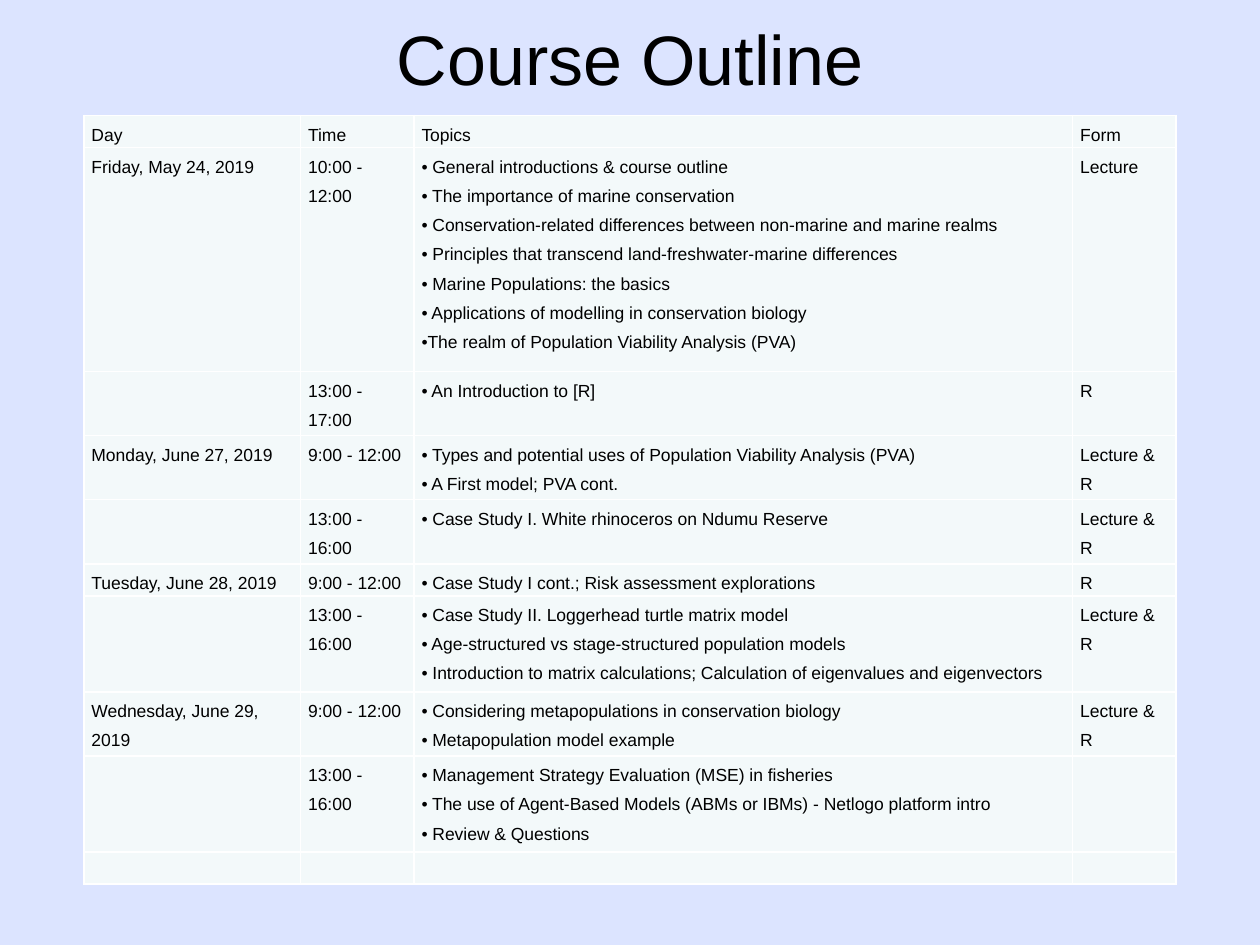
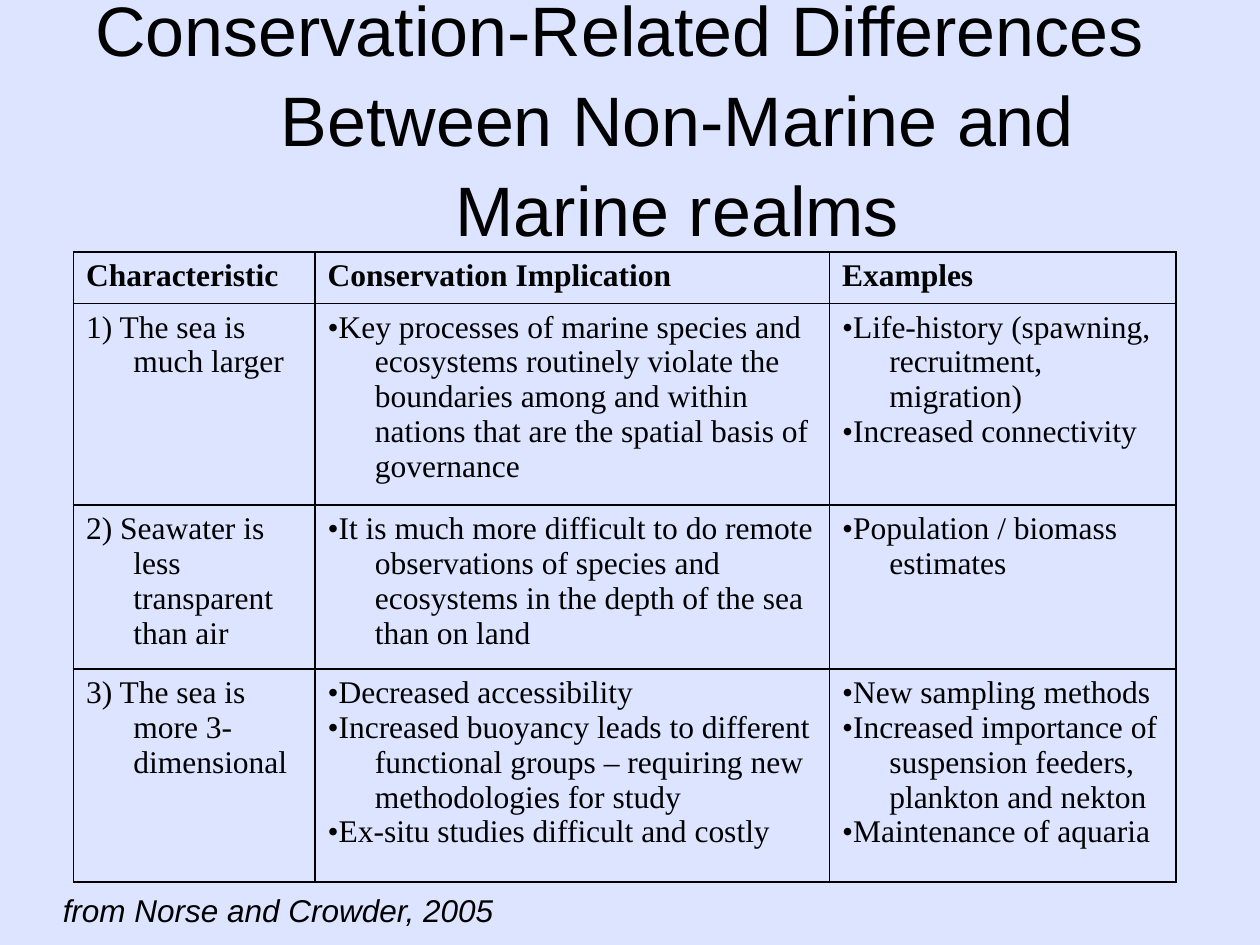
from lxml import etree
from pptx import Presentation
from pptx.dml.color import RGBColor
from pptx.enum.text import MSO_ANCHOR, MSO_AUTO_SIZE, PP_ALIGN
from pptx.oxml.ns import qn
from pptx.util import Pt

CENTER = PP_ALIGN.CENTER
MIDDLE = MSO_ANCHOR.MIDDLE
NO_AUTOFIT = MSO_AUTO_SIZE.NONE
FIT_SHAPE = MSO_AUTO_SIZE.SHAPE_TO_FIT_TEXT

PALE_BLUE = RGBColor(0xDC, 0xE4, 0xFF)
PALE_MINT = RGBColor(0xF3, 0xF9, 0xFA)
WHITE = RGBColor(0xFF, 0xFF, 0xFF)
BLACK = RGBColor(0x00, 0x00, 0x00)
SANS = "Arial"
SERIF = "Times New Roman"
TITLE_ONLY = 5

# Course outline: row heights follow from the number of lines
OUTLINE_LINE = 18.3
OUTLINE_LINES = [1, 7, 2, 2, 2, 1, 3, 2, 3, 1]
OUTLINE_COLUMNS = [123.8, 64.8, 376.4, 59]
OUTLINE = [
    ["Day", "Time", "Topics", "Form"],
    ["Friday, May 24, 2019", "10:00 - 12:00",
     "• General introductions & course outline\n"
     "• The importance of marine conservation\n"
     "• Conservation-related differences between non-marine and marine realms\n"
     "• Principles that transcend land-freshwater-marine differences\n"
     "• Marine Populations: the basics\n"
     "• Applications of modelling in conservation biology\n"
     "•The realm of Population Viability Analysis (PVA)", "Lecture"],
    ["", "13:00 - 17:00", "• An Introduction to [R]", "R"],
    ["Monday, June 27, 2019", "9:00 - 12:00",
     "• Types and potential uses of Population Viability Analysis (PVA)\n"
     "• A First model; PVA cont.", "Lecture & R"],
    ["", "13:00 - 16:00",
     "• Case Study I. White rhinoceros on Ndumu Reserve", "Lecture & R"],
    ["Tuesday, June 28, 2019", "9:00 - 12:00",
     "• Case Study I cont.; Risk assessment explorations", "R"],
    ["", "13:00 - 16:00",
     "• Case Study II. Loggerhead turtle matrix model\n"
     "• Age-structured vs stage-structured population models\n"
     "• Introduction to matrix calculations; "
     "Calculation of eigenvalues and eigenvectors", "Lecture & R"],
    ["Wednesday, June 29, 2019", "9:00 - 12:00",
     "• Considering metapopulations in conservation biology\n"
     "• Metapopulation model example", "Lecture & R"],
    ["", "13:00 - 16:00",
     "• Management Strategy Evaluation (MSE) in fisheries\n"
     "• The use of Agent-Based Models (ABMs or IBMs) - Netlogo platform intro\n"
     "• Review & Questions", ""],
    ["", "", "", ""],
]

# Differences between the realms
REALM_COLUMNS = [138, 294, 198]
REALM_ROWS = [29.5, 115.2, 93.6, 121.7]
REALMS = [
    ["Characteristic", "Conservation Implication", "Examples"],
    ["1) The sea is much larger",
     "•Key processes of marine species and ecosystems routinely violate the "
     "boundaries among and within nations that are the spatial basis of governance",
     "•Life-history (spawning, recruitment, migration)\n•Increased connectivity"],
    ["2) Seawater is less transparent than air",
     "•It is much more difficult to do remote observations of species and "
     "ecosystems in the depth of the sea than on land",
     "•Population / biomass estimates"],
    ["3) The sea is more 3-dimensional",
     "•Decreased accessibility\n"
     "•Increased buoyancy leads to different functional groups – requiring new "
     "methodologies for study\n"
     "•Ex-situ studies difficult and costly",
     "•New sampling methods\n"
     "•Increased importance of suspension feeders, plankton and nekton\n"
     "•Maintenance of aquaria"],
]


class Deck:
    """Holds the shared style and the slide being filled."""

    def __init__(self):
        self.prs = Presentation()
        self.prs.slide_width, self.prs.slide_height = Pt(720), Pt(540)
        background = self.prs.slide_master.background.fill
        background.solid()
        background.fore_color.rgb = PALE_BLUE
        self.slide = None

    def add_slide(self):
        layout = self.prs.slide_layouts[TITLE_ONLY]
        self.slide = self.prs.slides.add_slide(layout)

    def style(self, paragraph, font, size, bold=False, italic=False, hanging=0):
        if hanging:
            properties = paragraph._p.get_or_add_pPr()
            properties.set("marL", str(Pt(hanging)))
            properties.set("indent", str(-Pt(hanging)))
        for run in paragraph.runs:
            run.font.name, run.font.size = font, Pt(size)
            run.font.bold, run.font.italic = bold, italic
            run.font.color.rgb = BLACK
        if not paragraph.runs:  # keeps empty cells as low as their row
            paragraph._p.get_or_add_endParaRPr().set("sz", str(size * 100))

    def title(self, text, left, top, width, height, hanging=0):
        title = self.slide.shapes.title
        title.left, title.top = Pt(left), Pt(top)
        title.width, title.height = Pt(width), Pt(height)
        frame = title.text_frame
        frame.text = text
        frame.auto_size, frame.vertical_anchor = NO_AUTOFIT, MIDDLE
        heading = frame.paragraphs[0]
        heading.alignment, heading.line_spacing = CENTER, 1.07
        self.style(heading, SANS, 40, hanging=hanging)

    def borders(self, cell, color):
        properties = cell._tc.get_or_add_tcPr()
        for side in ("lnL", "lnR", "lnT", "lnB"):
            line = etree.SubElement(properties, qn(f"a:{side}"), w=str(Pt(1)))
            solid = etree.SubElement(line, qn("a:solidFill"))
            etree.SubElement(solid, qn("a:srgbClr"), val=str(color))

    def table(self, rows, left, top, widths, heights, font, size, border,
              fill=None, insets=(7.2, 3.6), spacing=None, hanging=0,
              bold_header=False):
        table = self.slide.shapes.add_table(
            len(rows), len(widths), Pt(left), Pt(top),
            Pt(sum(widths)), Pt(sum(heights))).table
        table.first_row = table.horz_banding = False
        for column, width in zip(table.columns, widths):
            column.width = Pt(width)
        for row, height in zip(table.rows, heights):
            row.height = Pt(height)
        for r, texts in enumerate(rows):
            for c, text in enumerate(texts):
                cell = table.cell(r, c)
                self.borders(cell, border)
                if fill is None:
                    cell.fill.background()
                else:
                    cell.fill.solid()
                    cell.fill.fore_color.rgb = fill
                cell.margin_left = cell.margin_right = Pt(insets[0])
                cell.margin_top = cell.margin_bottom = Pt(insets[1])
                cell.text_frame.text = text
                for paragraph in cell.text_frame.paragraphs:
                    paragraph.line_spacing = spacing
                    self.style(paragraph, font, size, hanging=hanging,
                               bold=bold_header and r == 0)

    def citation(self, text, left, top, width, height):
        box = self.slide.shapes.add_textbox(
            Pt(left), Pt(top), Pt(width), Pt(height))
        frame = box.text_frame
        frame.text = text
        frame.word_wrap, frame.auto_size = False, FIT_SHAPE
        self.style(frame.paragraphs[0], SANS, 18, italic=True)


def main():
    deck = Deck()

    # Slide 1: course outline
    deck.add_slide()
    deck.title("Course Outline", 36, 6, 648, 50)
    deck.table(OUTLINE, 48, 66, OUTLINE_COLUMNS,
               [OUTLINE_LINE * lines for lines in OUTLINE_LINES],
               SANS, 10, WHITE, fill=PALE_MINT, insets=(4.3, 0), spacing=1.5)

    # Slide 2: non-marine and marine realms
    deck.add_slide()
    deck.title("Conservation-Related Differences Between Non-Marine and "
               "Marine realms", 36, 30, 636, 72, hanging=66)
    deck.table(REALMS, 42, 144, REALM_COLUMNS, REALM_ROWS, SERIF, 18, BLACK,
               hanging=27, bold_header=True)
    deck.citation("from Norse and Crowder, 2005", 28.8, 505.5, 261.4, 28.8)

    deck.prs.save("out.pptx")


if __name__ == "__main__":
    main()
